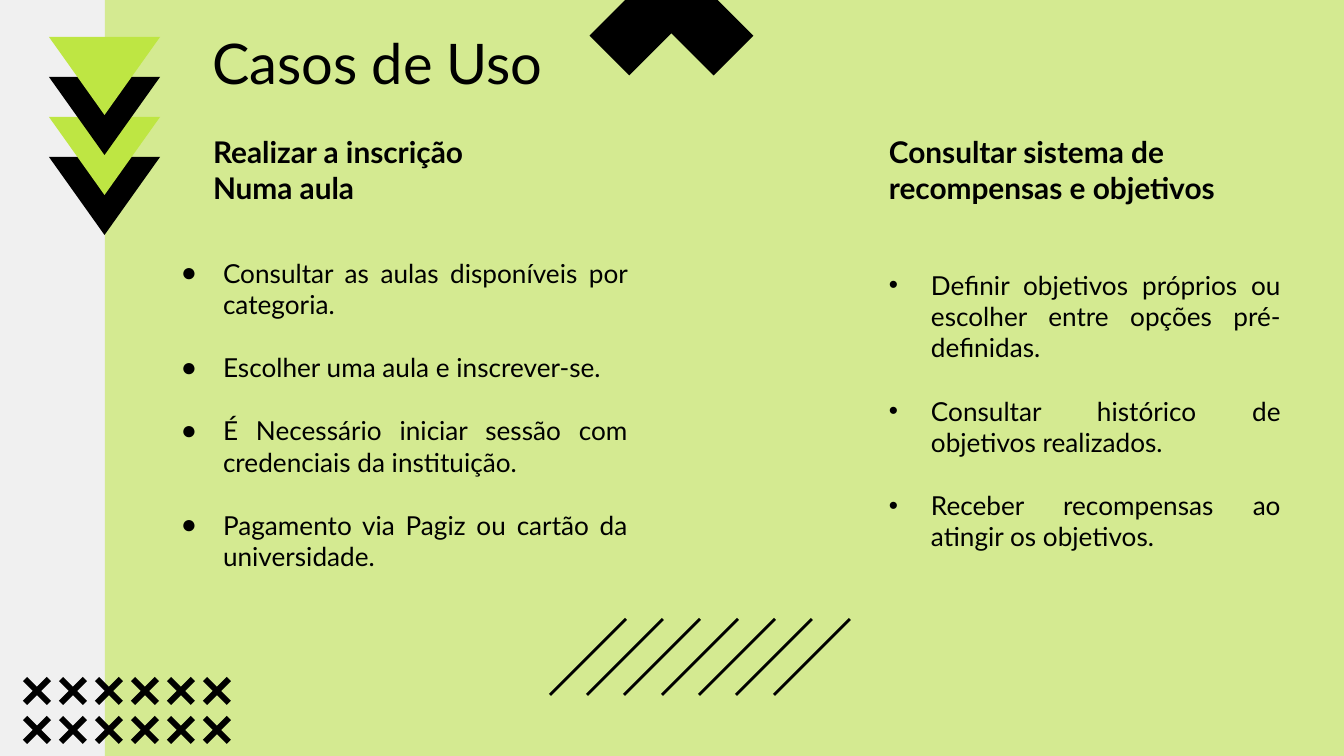
from dataclasses import dataclass

from lxml.etree import SubElement
from pptx import Presentation
from pptx.dml.color import RGBColor
from pptx.enum.shapes import MSO_CONNECTOR, MSO_SHAPE as Preset
from pptx.enum.text import MSO_ANCHOR as Anchor, PP_ALIGN as Align
from pptx.oxml.ns import qn
from pptx.util import Emu, Pt

EMU_PER_PX = 914400 / 134.4


@dataclass(frozen=True)
class Theme:
    font: str = "Lato"
    ink: RGBColor = RGBColor(0x00, 0x00, 0x00)
    lime: RGBColor = RGBColor(0xBE, 0xE6, 0x43)
    paper: RGBColor = RGBColor(0xF0, 0xF0, 0xF0)
    title: int = 30
    heading: int = 16
    body: int = 14
    item_gap: int = 17
    list_gap: int = 34


THEME = Theme()

ENROL_STEPS = [
    "Consultar as aulas disponíveis por categoria.",
    "Escolher uma aula e inscrever-se.",
    "É Necessário iniciar sessão com credenciais da instituição.",
    "Pagamento via Pagiz ou cartão da universidade.",
]
REWARD_STEPS = [
    "Definir objetivos próprios ou escolher entre opções pré-definidas.",
    "Consultar histórico de objetivos realizados.",
    "Receber recompensas ao atingir os objetivos.",
]


def px(length):
    return Emu(round(length * EMU_PER_PX))


def add_preset(page, preset, left, top, width, height, color, adjust=None):
    shape = page.shapes.add_shape(preset, px(left), px(top), px(width), px(height))
    shape.shadow.inherit = False
    shape.fill.solid()
    shape.fill.fore_color.rgb = color
    shape.line.fill.background()
    if adjust is not None:
        shape.adjustments[0] = adjust
    return shape


def set_opacity(shape, percent):
    color = shape.fill._xPr.find(".//" + qn("a:srgbClr"))
    SubElement(color, qn("a:alpha"), val=str(percent * 1000))


def add_stroke(page, x1, y1, x2, y2):
    stroke = page.shapes.add_connector(
        MSO_CONNECTOR.STRAIGHT, px(x1), px(y1), px(x2), px(y2))
    stroke.line.color.rgb = THEME.ink
    stroke.line.width = Pt(1.5)
    SubElement(stroke._element.spPr, qn("a:effectLst"))


def add_text_frame(page, left, top, width, height, inset_y=7, anchor=Anchor.TOP):
    box = page.shapes.add_textbox(px(left), px(top), px(width), px(height))
    frame = box.text_frame
    frame.word_wrap = True
    frame.vertical_anchor = anchor
    frame.margin_left = frame.margin_right = px(13)
    frame.margin_top = frame.margin_bottom = px(inset_y)
    return frame


def add_run(para, text, size, bold=False):
    span = para.add_run()
    span.text = text
    span.font.name = THEME.font
    span.font.size = Pt(size)
    span.font.bold = bold
    span.font.color.rgb = THEME.ink


def set_bullet(para, mark, indent=42):
    props = para._p.get_or_add_pPr()
    props.set("marL", str(px(indent)))
    props.set("indent", str(-px(indent)))
    color = SubElement(props, qn("a:buClr"))
    SubElement(color, qn("a:srgbClr"), val=str(THEME.ink))
    SubElement(props, qn("a:buFont"), typeface="Arial")
    SubElement(props, qn("a:buChar"), char=mark)


def add_items(frame, items, mark, first_gap=0):
    """Append bulleted items; without first_gap the list opens the frame."""
    for index, item in enumerate(items):
        opens_frame = index == 0 and not first_gap
        para = frame.paragraphs[0] if opens_frame else frame.add_paragraph()
        para.alignment = Align.JUSTIFY
        if not opens_frame:
            para.space_before = Pt(THEME.item_gap if index else first_gap)
        set_bullet(para, mark)
        add_run(para, item, THEME.body)


def add_decoration(page):
    panel = add_preset(page, Preset.RECTANGLE, 105, 0, 1239, 756, THEME.lime)
    set_opacity(panel, 55)
    for top in (668, 707):
        for column in range(6):
            add_preset(page, Preset.MATH_MULTIPLY, 14 + 36 * column, top,
                       46, 46, THEME.ink, 0.129)
    add_preset(page, Preset.MATH_MULTIPLY, 552, -126, 239, 239, THEME.ink, 0.235)
    for step in range(4):
        color = THEME.lime if step % 2 else THEME.ink
        triangle = add_preset(page, Preset.ISOSCELES_TRIANGLE,
                              49, 157 - 40 * step, 111, 78, color)
        triangle.rotation = 180
    for index in range(7):
        left = 550 + 224 * index // 6
        add_stroke(page, left, 695, left + 76, 619)


def add_use_cases(page):
    title = add_text_frame(page, 199, 24, 473, 85, 13, Anchor.BOTTOM)
    add_run(title.paragraphs[0], "Casos de Uso", THEME.title)

    enrol = add_text_frame(page, 200, 127, 348, 86)
    add_run(enrol.paragraphs[0], "Realizar a inscrição Numa aula",
            THEME.heading, bold=True)
    add_items(add_text_frame(page, 168, 244, 473, 376, 13), ENROL_STEPS, "●")

    rewards = add_text_frame(page, 876, 127, 418, 470)
    add_run(rewards.paragraphs[0], "Consultar sistema de recompensas e objetivos",
            THEME.heading, bold=True)
    add_items(rewards, REWARD_STEPS, "•", THEME.list_gap)


def main():
    deck = Presentation()
    deck.slide_width, deck.slide_height = px(1344), px(756)
    page = deck.slides.add_slide(deck.slide_layouts[6])
    page.background.fill.solid()
    page.background.fill.fore_color.rgb = THEME.paper
    add_decoration(page)
    add_use_cases(page)
    deck.save("out.pptx")


if __name__ == "__main__":
    main()
